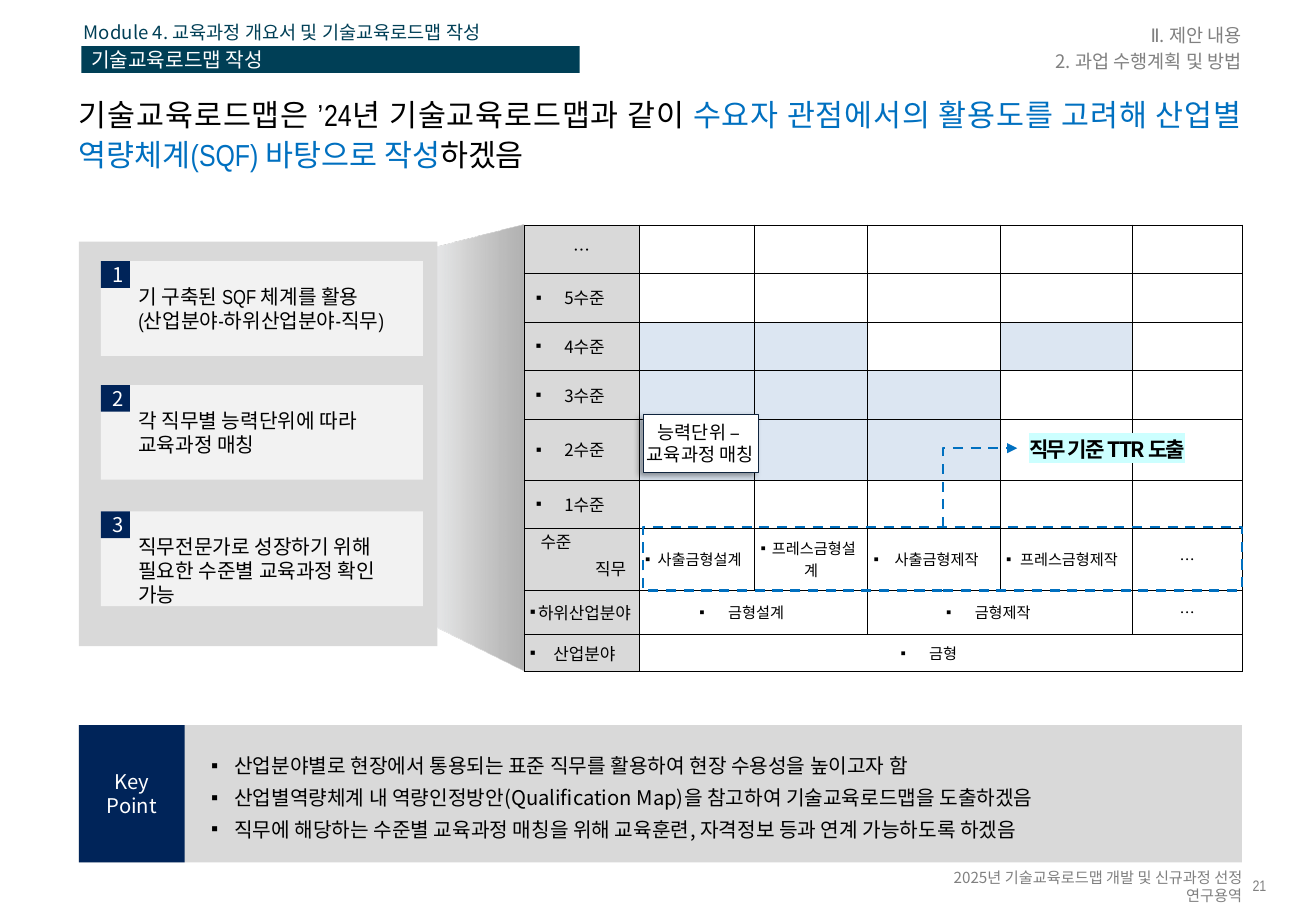
from lxml import etree
from pptx import Presentation, util as u
from pptx.dml.color import RGBColor
from pptx.enum import dml, shapes, text
from pptx.oxml import parse_xml
from pptx.oxml.ns import qn

PX = 9144
NS = 'xmlns:a="http://schemas.openxmlformats.org/drawingml/2006/main"'
NOTO, NARROW = "Noto Sans CJK KR", "Arial Narrow"
BLACK, WHITE, GREY, NAVY, TEAL, BLUE = "000000", "FFFFFF", "808080", "002459", "003F56", "0070C0"
PANEL, CARD, MATCHED = "D9D9D9", "F2F2F2", "DCE6F2"
LEFT, MIDDLE = text.PP_ALIGN.LEFT, text.MSO_ANCHOR.MIDDLE
CENTER, RIGHT, JUSTIFY = text.PP_ALIGN.CENTER, text.PP_ALIGN.RIGHT, text.PP_ALIGN.JUSTIFY
INSET, NONE, TIGHT = (10, 5, 10, 5), (0, 0, 0, 0), (5, 5, 5, 5)

FOOTER = "2025년 기술교육로드맵 개발 및 신규과정 선정 연구용역"
CHAPTER = [[("Ⅱ", {"font": NARROW}), ". 제안 내용"], "2. 과업 수행계획 및 방법"]
MODULE = "Module 4. 교육과정 개요서 및 기술교육로드맵 작성"
TOPIC = "기술교육로드맵 작성"
HEADLINE = [
    "기술교육로드맵은 ’24년 기술교육로드맵과 같이 ",
    ("수요자 관점에서의 활용도를 고려해 산업별 역량체계(SQF) 바탕으로 작성", {"color": BLUE}),
    "하겠음",
]
CARDS = [
    (215, 254, ["기 구축된 SQF 체계를 활용", "(산업분야-하위산업분야-직무)"], {"font": NARROW}),
    (317, 254, ["각 직무별 능력단위에 따라 \n교육과정 매칭"], {"font": NARROW}),
    (421, 244, ["직무전문가로 성장하기 위해 필요한 수준별 교육과정 확인 가능"], {"spacing": u.Pt(14.2)}),
]
KEY_POINTS = [
    "산업분야별로 현장에서 통용되는 표준 직무를 활용하여 현장 수용성을 높이고자 함",
    "산업별역량체계 내 역량인정방안(Qualification Map)을 참고하여 기술교육로드맵을 도출하겠음",
    "직무에 해당하는 수준별 교육과정 매칭을 위해 교육훈련, 자격정보 등과 연계 가능하도록 하겠음",
]
COLUMNS = [95, 95, 93, 109, 109, 90]
ROWS = [40, 40, 40, 40, 50, 40, 51, 36, 31]
LEVELS = [
    ["…", "", "", "", "", ""],
    ["5수준", "", "", "", "", ""],
    ["4수준", "", "", "", "", ""],
    ["3수준", "", "", "", "", ""],
    ["2수준", "", "", "", "", ""],
    ["1수준", "", "", "", "", ""],
    ["", "사출금형설계", "프레스금형설계", "사출금형제작", "프레스금형제작", "…"],
    ["하위산업분야", "금형설계", "", "금형제작", "", "…"],
    ["산업분야", "금형", "", "", "", ""],
]
MERGES = [(7, 1, 2), (7, 3, 4), (8, 1, 5)]
MATCHED_CELLS = {(2, 1), (2, 2), (2, 4), (3, 1), (3, 2), (3, 3), (4, 1), (4, 2), (4, 3)}
JOB_ROW = 6

deck = Presentation()
deck.slide_width, deck.slide_height = 1083 * PX, 750 * PX
page = deck.slides.add_slide(deck.slide_layouts[6])


def rgb(value):
    """Return the colour for a hex string."""
    return RGBColor.from_string(value)


def add_span(para, words, size, font=NOTO, color=BLACK, bold=None, tracking=None, highlight=None):
    """Add a run, with a line break at each newline."""
    for index, part in enumerate(words.split("\n")):
        if index:
            para.add_line_break()
        span = para.add_run()
        span.text = part
        for name, value in {"size": u.Pt(size), "name": font, "bold": bold}.items():
            setattr(span.font, name, value)
        span.font.color.rgb = rgb(color)
        props = span.font._element
        props.find(qn("a:latin")).addnext(parse_xml(f'<a:ea {NS} typeface="{font}"/>'))
        if tracking:
            props.set("spc", str(tracking))
        if highlight:
            props.find(qn("a:solidFill")).addnext(parse_xml(
                f'<a:highlight {NS}><a:srgbClr val="{highlight}"/></a:highlight>'))


def write(frame, lines, size, align=LEFT, spacing=None, before=None, bullet=False, indent=None, **style):
    """Fill a text frame, one paragraph for each line."""
    for index, line in enumerate(lines):
        para = frame.add_paragraph() if index else frame.paragraphs[0]
        if bullet:
            props = para._p.get_or_add_pPr()
            props.append(parse_xml(f'<a:buFont {NS} typeface="Arial"/>'))
            props.append(parse_xml(f'<a:buChar {NS} char="▪"/>'))
            if indent:
                props.set("marL", str(indent[0] * PX))
                props.set("indent", str(indent[1] * PX))
        layout = {"alignment": align, "line_spacing": spacing, "space_before": before if index else None}
        for name, value in layout.items():
            setattr(para, name, value)
        for part in [line] if isinstance(line, str) else line:
            words, extra = (part, {}) if isinstance(part, str) else part
            add_span(para, words, size, **{**style, **extra})


def set_frame(box, inset, anchor):
    """Set the insets, anchor and wrapping of a box."""
    frame = box.text_frame
    names = ("margin_left", "margin_top", "margin_right", "margin_bottom")
    values = dict(zip(names, (side * PX for side in inset)), word_wrap=True, vertical_anchor=anchor)
    for name, value in values.items():
        setattr(frame, name, value)
    return frame


def add_text(area, lines, size, inset=INSET, anchor=text.MSO_ANCHOR.TOP, **style):
    """Add a text box."""
    box = page.shapes.add_textbox(*(side * PX for side in area))
    write(set_frame(box, inset, anchor), lines, size, **style)


def add_rect(area, fill=None, lines=(), size=12, inset=INSET, **style):
    """Add a plain rectangle with optional text."""
    box = page.shapes.add_shape(shapes.MSO_SHAPE.RECTANGLE, *(side * PX for side in area))
    box.shadow.inherit = False
    if fill:
        box.fill.solid()
        box.fill.fore_color.rgb = rgb(fill)
    else:
        box.fill.background()
    box.line.fill.background()
    write(set_frame(box, inset, MIDDLE), lines, size, **style)
    return box


def set_line(line, color, width, dash=None):
    """Format a line."""
    line.color.rgb = rgb(color)
    line.width, line.dash_style = u.Pt(width), dash


def add_funnel():
    """Add the shaded wedge between the panel and the table."""
    builder = page.shapes.build_freeform(431, 185, PX)
    builder.add_line_segments([(322, 213), (317, 495), (431, 552)])
    wedge = builder.convert_to_shape()
    wedge.shadow.inherit = False
    wedge.line.fill.background()
    stops = "".join(
        f'<a:gs pos="{pos}"><a:srgbClr val="{color}"><a:alpha val="{alpha}"/></a:srgbClr></a:gs>'
        for pos, color, alpha in [(0, "F0F5FA", 41000), (53000, PANEL, 100000), (100000, "A6A6A6", 87000)])
    wedge._element.spPr.find(qn("a:custGeom")).addnext(parse_xml(
        f'<a:gradFill {NS}><a:gsLst>{stops}</a:gsLst><a:lin ang="0" scaled="0"/></a:gradFill>'))


def add_levels():
    """Add the table of levels by job."""
    area = (431, 185, sum(COLUMNS), sum(ROWS))
    table = page.shapes.add_table(len(ROWS), len(COLUMNS), *(side * PX for side in area)).table
    table.first_row = table.horz_banding = False
    for parts, name, sizes in ((table.columns, "width", COLUMNS), (table.rows, "height", ROWS)):
        for part, size in zip(parts, sizes):
            setattr(part, name, size * PX)
    for r, c, last in MERGES:
        table.cell(r, c).merge(table.cell(r, last))
    for r, row in enumerate(LEVELS):
        for c, words in enumerate(row):
            cell = table.cell(r, c)
            inset = TIGHT if r >= JOB_ROW else NONE if r in (2, 3) and c == 0 else INSET
            cell.margin_left, cell.margin_top, cell.margin_right, cell.margin_bottom = (s * PX for s in inset)
            cell.vertical_anchor = MIDDLE
            fill = PANEL if c == 0 else MATCHED if (r, c) in MATCHED_CELLS else WHITE
            cell.fill.solid()
            cell.fill.fore_color.rgb = rgb(fill)
            for index, side in enumerate("LRTB"):
                cell._tc.tcPr.insert(index, parse_xml(
                    f'<a:ln{side} {NS} w="3175"><a:solidFill><a:srgbClr val="{BLACK}"/></a:solidFill></a:ln{side}>'))
            if words:
                size = 9 if r >= JOB_ROW and c else 10
                write(cell.text_frame, [words], size, align=CENTER, bullet=words != "…")
            else:
                etree.SubElement(cell.text_frame.paragraphs[0]._p, qn("a:endParaRPr"), sz="900")


def add_arrow(start, end):
    """Add a dashed arrow that goes up, then right."""
    rise, run = start[1] - end[1], end[0] - start[0]
    x, y = (start[0] + end[0] - rise) // 2, (start[1] + end[1] - run) // 2
    ends = (x + rise, y + run, x, y)
    arrow = page.shapes.add_connector(shapes.MSO_CONNECTOR.ELBOW, *(side * PX for side in ends))
    props = arrow._element.spPr
    props.find(qn("a:xfrm")).set("rot", "5400000")
    props.find(qn("a:prstGeom")).set("prst", "bentConnector2")
    set_line(arrow.line, BLUE, 1.5, dml.MSO_LINE.DASH)
    etree.SubElement(props.find(qn("a:ln")), qn("a:tailEnd"), type="triangle")
    etree.SubElement(props, qn("a:effectLst"))


add_text((740, 722, 282, 15), [FOOTER], 9, NONE, MIDDLE, align=RIGHT, color=GREY, spacing=u.Pt(10.7))
add_text((1026, 723, 21, 14), ["21"], 9, NONE, MIDDLE, align=CENTER, color=GREY, font=NARROW, spacing=0.9)
add_text((798, 15, 224, 49), CHAPTER, 11, NONE, MIDDLE, align=RIGHT, color=GREY,
         spacing=u.Pt(13.2), before=u.Pt(2.2))
add_rect((67, 38, 410, 22), TEAL, [TOPIC], inset=(8, 0, 0, 0), font=NARROW, color=WHITE)
add_text((65, 15, 476, 23), [MODULE], 11, (4, 0, 0, 0), MIDDLE, color=TEAL)
add_text((65, 71, 957, 89), [HEADLINE], 18, (0, 5, 0, 0), align=JUSTIFY, spacing=1.1, font=NARROW)
add_funnel()
add_rect((65, 199, 295, 333), PANEL)
add_levels()
add_rect((65, 597, 957, 113), PANEL, KEY_POINTS, bullet=True, indent=(118, -19), spacing=u.Pt(18.7))
add_rect((65, 597, 87, 113), NAVY, ["Key", "Point"], align=CENTER, color=WHITE, spacing=u.Pt(14.2))
for number, (top, width, lines, style) in enumerate(CARDS, 1):
    add_rect((83, top, 265, 78), CARD)
    add_rect((83, top, 24, 22), NAVY, [str(number)], align=CENTER, color=WHITE)
    add_text((104, top + 14, width, 50), lines, 12, **style)
match = add_rect((529, 341, 95, 48), WHITE, ["능력단위 – ", "교육과정 매칭"], 11, (0, 5, 0, 5),
                 align=CENTER, font=NARROW)
set_line(match.line, "0F243E", 0.25)
match._element.spPr.find(qn("a:effectLst")).append(parse_xml(
    f'<a:outerShdw {NS} blurRad="50800" dist="38100" dir="8100000" algn="tr" rotWithShape="0">'
    f'<a:srgbClr val="{BLACK}"><a:alpha val="40000"/></a:srgbClr></a:outerShdw>'))
set_line(add_rect((529, 434, 493, 52)).line, BLUE, 1.5, dml.MSO_LINE.DASH)
add_arrow((776, 434), (837, 369))
add_text((837, 354, 193, 31), ["직무 기준 TTR 도출"], 12.5, bold=True, tracking=-100, highlight="CCFFFF")
for label, left, top in (("직무", 480, 458), ("수준", 435, 436)):
    add_text((left, top, 45, 21), [label], 10, (4, 2, 4, 2), align=CENTER, font=NARROW)
deck.save("out.pptx")
